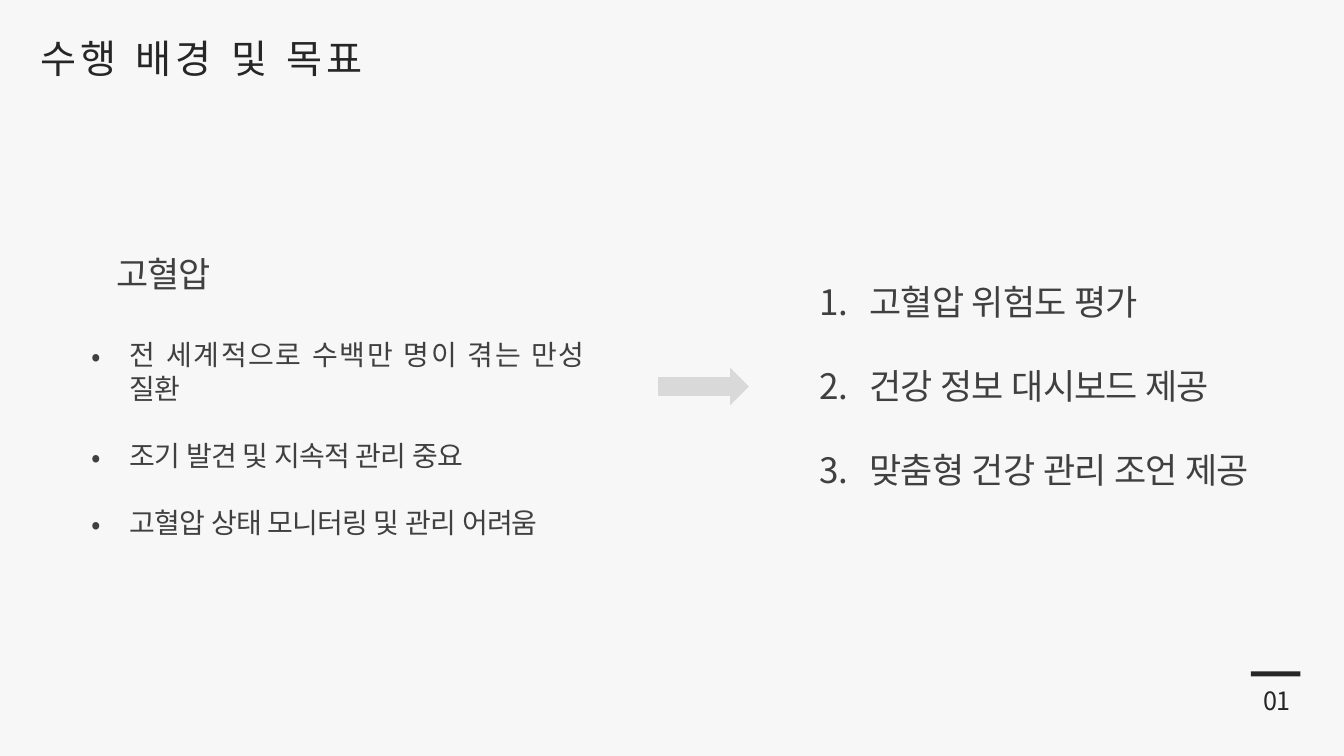
"""Build the project background and goals slide."""
from lxml.etree import SubElement
from pptx import Presentation
from pptx.dml.color import RGBColor
from pptx.enum.shapes import MSO_SHAPE
from pptx.enum.text import MSO_ANCHOR, PP_ALIGN
from pptx.oxml.ns import qn
from pptx.util import Emu, Inches, Pt

FONT = "Noto Sans CJK KR"
COLORS = {"back": "F7F7F7", "dark": "262626", "body": "404040", "arrow": "D9D9D9"}
BULLET = ("buChar", {"char": "•"})
NUMBER = ("buAutoNum", {"type": "arabicPeriod"})

TITLE = "수행 배경 및 목표"
TOPIC = "고혈압"
BACKGROUND = [
    "전 세계적으로 수백만 명이 겪는 만성 질환",
    "조기 발견 및 지속적 관리 중요",
    "고혈압 상태 모니터링 및 관리 어려움",
]
GOALS = ["고혈압 위험도 평가", "건강 정보 대시보드 제공", "맞춤형 건강 관리 조언 제공"]
PAGE = "01"

BOXES = {
    "title": (0.19, 0.19, 5.57, 0.76),
    "topic": (0.88, 2.46, 1.48, 0.52),
    "background": (0.81, 3.3, 5.08, 1.78),
    "goals": (8.03, 2.73, 4.52, 2.2),
    "arrow": (6.53, 3.65, 0.9, 0.37),
    "page": (12.29, 6.75, 0.61, 0.4),
    "bar": (12.41, 6.66, 0.49, 0.05),
}


def box(name):
    return [Inches(v) for v in BOXES[name]]


def add_shape(shapes, kind, name, color=None):
    s = shapes.add_shape(kind, *box(name))
    s.shadow.inherit = False
    s.line.fill.background()
    if color:
        s.fill.solid()
        s.fill.fore_color.rgb = RGBColor.from_string(COLORS[color])
    else:
        s.fill.background()
    return s


def write(s, lines, size, color, align, spacing=-0.7, marker=None, indent=0):
    tf = s.text_frame
    tf.word_wrap = True
    for i, line in enumerate(lines):
        p = tf.paragraphs[0] if i == 0 else tf.add_paragraph()
        p.text = line
        p.alignment = align
        if i:
            p.space_before = Pt(size * 1.2)
        if marker:
            pPr = p._p.get_or_add_pPr()
            pPr.set("marL", str(Inches(indent)))
            pPr.set("indent", str(-Inches(indent)))
            SubElement(pPr, qn("a:buFont"), typeface=FONT)
            SubElement(pPr, qn("a:" + marker[0]), marker[1])
        for r in p.runs:
            r.font.size = Pt(size)
            r.font.name = FONT
            r.font.color.rgb = RGBColor.from_string(COLORS[color])
            rPr = r._r.get_or_add_rPr()
            rPr.set("lang", "ko-KR")
            rPr.set("spc", str(round(spacing * 100)))
            SubElement(rPr, qn("a:ea"), typeface=FONT)


def main():
    prs = Presentation()
    prs.slide_width, prs.slide_height = Emu(12192000), Inches(7.5)
    slide = prs.slides.add_slide(prs.slide_layouts[6])
    fill = slide.background.fill
    fill.solid()
    fill.fore_color.rgb = RGBColor.from_string(COLORS["back"])
    shapes = slide.shapes

    title = add_shape(shapes, MSO_SHAPE.ROUNDED_RECTANGLE, "title")
    title.adjustments[0] = 0.5
    title.text_frame.vertical_anchor = MSO_ANCHOR.MIDDLE
    write(title, [TITLE], 28, "dark", PP_ALIGN.LEFT, spacing=3)

    write(shapes.add_textbox(*box("topic")), [TOPIC], 25, "body", PP_ALIGN.CENTER)
    write(shapes.add_textbox(*box("background")), BACKGROUND, 20, "body",
          PP_ALIGN.JUSTIFY, marker=BULLET, indent=0.38)
    write(shapes.add_textbox(*box("goals")), GOALS, 25, "body",
          PP_ALIGN.JUSTIFY, marker=NUMBER, indent=0.5)
    add_shape(shapes, MSO_SHAPE.RIGHT_ARROW, "arrow", "arrow")

    footer = shapes.add_group_shape().shapes
    write(footer.add_textbox(*box("page")), [PAGE], 18, "dark", PP_ALIGN.RIGHT)
    add_shape(footer, MSO_SHAPE.RECTANGLE, "bar", "dark")
    prs.save("out.pptx")


if __name__ == "__main__":
    main()
